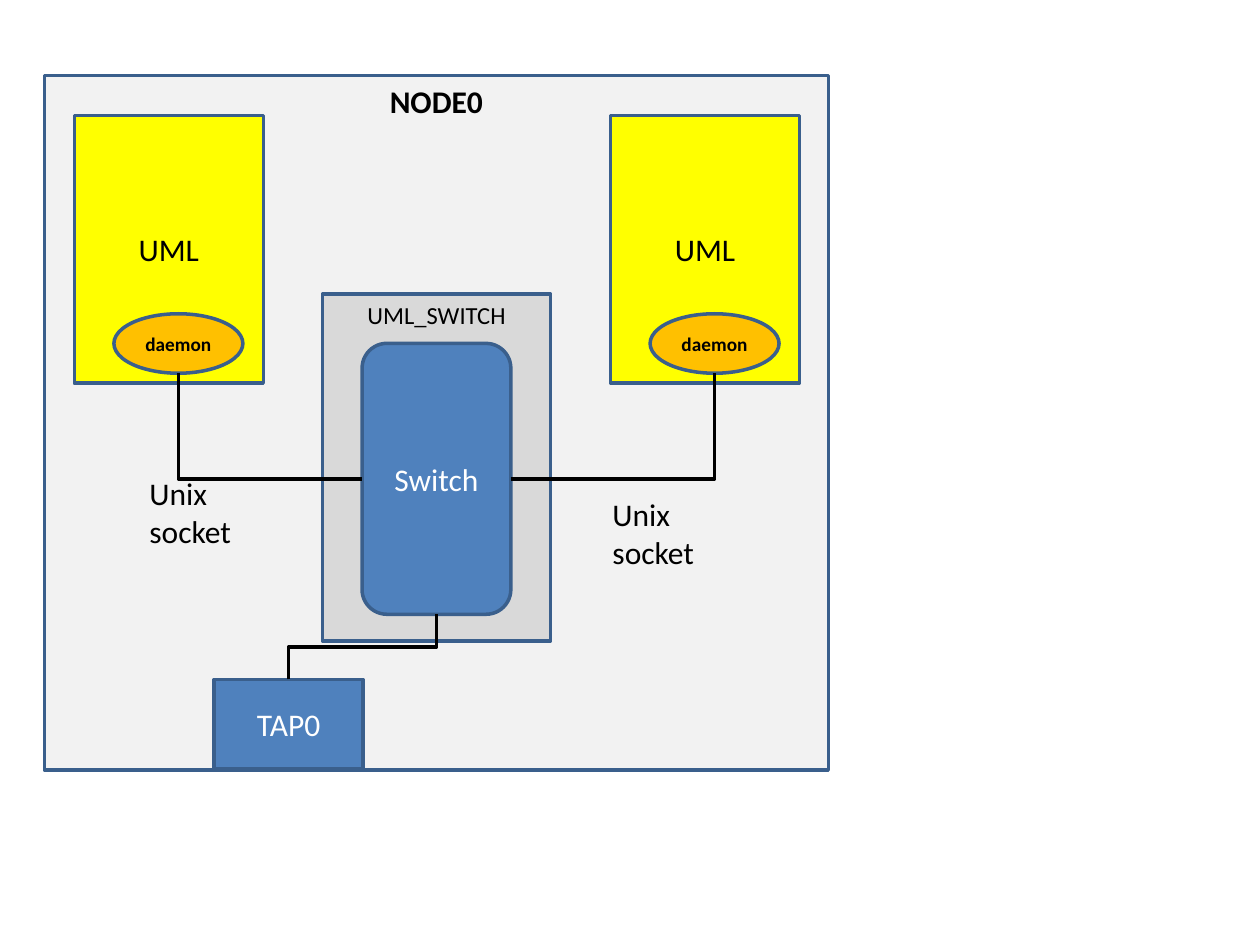
from lxml import etree
from pptx import Presentation
from pptx.dml.color import RGBColor
from pptx.enum.shapes import MSO_CONNECTOR, MSO_SHAPE
from pptx.enum.text import MSO_ANCHOR, MSO_AUTO_SIZE, PP_ALIGN
from pptx.oxml.ns import qn
from pptx.util import Pt

COLORS = {"node": "F2F2F2", "uml": "FFFF00", "daemon": "FFC000", "panel": "D9D9D9",
          "blue": "4F81BD", "border": "3A5F8C", "black": "000000", "white": "FFFFFF"}
FONT = "Calibri"
LINE = 2

# Boxes are (left, top, width, height) in points
NODE = (25.4, 43.1, 448, 397)
PANEL = (184.3, 167.9, 130.3, 198.5)
SWITCH = (206.9, 196.2, 85, 154.8)
TAP = (122.4, 388.3, 85, 51)
UML_LEFTS = (42.5, 348.9)
UML_TOP, UML_SIZE = 66, (108, 153)
DAEMON_OFFSET, DAEMON_SIZE = (22.6, 113.3), (73.7, 34)
SOCKET_TEXT = "Unix\nsocket"
SOCKET_BOXES = [(78.3, 267.2, 61.9, 50.9), (342.9, 279.3, 61.9, 50.9)]

prs = Presentation()
prs.slide_width, prs.slide_height = Pt(720), Pt(540)
slide = prs.slides.add_slide(prs.slide_layouts[6])


def rgb(name):
    """Return the named colour."""
    return RGBColor.from_string(COLORS[name])


def write(frame, text, size, color, bold, align):
    """Fill a text frame, one paragraph per line."""
    frame.text = text
    for paragraph in frame.paragraphs:
        paragraph.alignment = align
        font = paragraph.runs[0].font
        font.name, font.size, font.bold = FONT, Pt(size), bold
        font.color.rgb = rgb(color)


def add_block(box, text, fill, color="black", kind=MSO_SHAPE.RECTANGLE,
              size=18, bold=False, anchor=MSO_ANCHOR.MIDDLE):
    """Add a bordered shape with a centred label."""
    shape = slide.shapes.add_shape(kind, *map(Pt, box))
    shape.shadow.inherit = False
    shape.fill.solid()
    shape.fill.fore_color.rgb = rgb(fill)
    shape.line.color.rgb = rgb("border")
    shape.line.width = Pt(LINE)
    shape.text_frame.word_wrap = True
    shape.text_frame.vertical_anchor = anchor
    write(shape.text_frame, text, size, color, bold, PP_ALIGN.CENTER)


def add_label(box, text):
    """Add a plain text label that fits its text."""
    frame = slide.shapes.add_textbox(*map(Pt, box)).text_frame
    frame.word_wrap = False
    frame.auto_size = MSO_AUTO_SIZE.SHAPE_TO_FIT_TEXT
    write(frame, text, 18, "black", False, PP_ALIGN.LEFT)


def add_elbow(start, end, preset, turn=0, flips=()):
    """Add a bent line between two points; turn is in degrees."""
    (x1, y1), (x2, y2) = start, end
    width, height = abs(x2 - x1), abs(y2 - y1)
    if turn in (90, 270):
        width, height = height, width
    left, top = (x1 + x2 - width) / 2, (y1 + y2 - height) / 2
    line = slide.shapes.add_connector(MSO_CONNECTOR.ELBOW, Pt(left), Pt(top),
                                      Pt(left + width), Pt(top + height))
    line.line.color.rgb = rgb("black")
    line.line.width = Pt(LINE)
    properties = line._element.spPr
    etree.SubElement(properties, qn("a:effectLst"))
    properties.find(qn("a:prstGeom")).set("prst", preset)
    transform = properties.find(qn("a:xfrm"))
    transform.set("rot", str(turn * 60000))
    for flip in flips:
        transform.set(flip, "1")


def edge(box, x, y):
    """Return the point at fractions x and y of a box."""
    left, top, width, height = box
    return left + x * width, top + y * height


add_block(NODE, "NODE0", "node", bold=True, anchor=MSO_ANCHOR.TOP)
add_block(PANEL, "UML_SWITCH", "panel", size=14, anchor=MSO_ANCHOR.TOP)

daemons = []
for uml_left in UML_LEFTS:
    add_block((uml_left, UML_TOP, *UML_SIZE), "UML", "uml")
    daemon = (uml_left + DAEMON_OFFSET[0], UML_TOP + DAEMON_OFFSET[1], *DAEMON_SIZE)
    add_block(daemon, "daemon", "daemon", kind=MSO_SHAPE.OVAL, size=11, bold=True)
    daemons.append(daemon)

add_block(TAP, "TAP0", "blue", "white")
add_block(SWITCH, "Switch", "blue", "white", MSO_SHAPE.ROUNDED_RECTANGLE)

add_elbow(edge(daemons[0], 0.5, 1), edge(SWITCH, 0, 0.5), "bentConnector2", 270, ["flipH"])
add_elbow(edge(SWITCH, 1, 0.5), edge(daemons[1], 0.5, 1), "bentConnector2", 0, ["flipV"])
add_elbow(edge(TAP, 0.5, 0), edge(SWITCH, 0.5, 1), "bentConnector3", 90, ["flipH", "flipV"])

for socket_box in SOCKET_BOXES:
    add_label(socket_box, SOCKET_TEXT)

prs.save("out.pptx")
